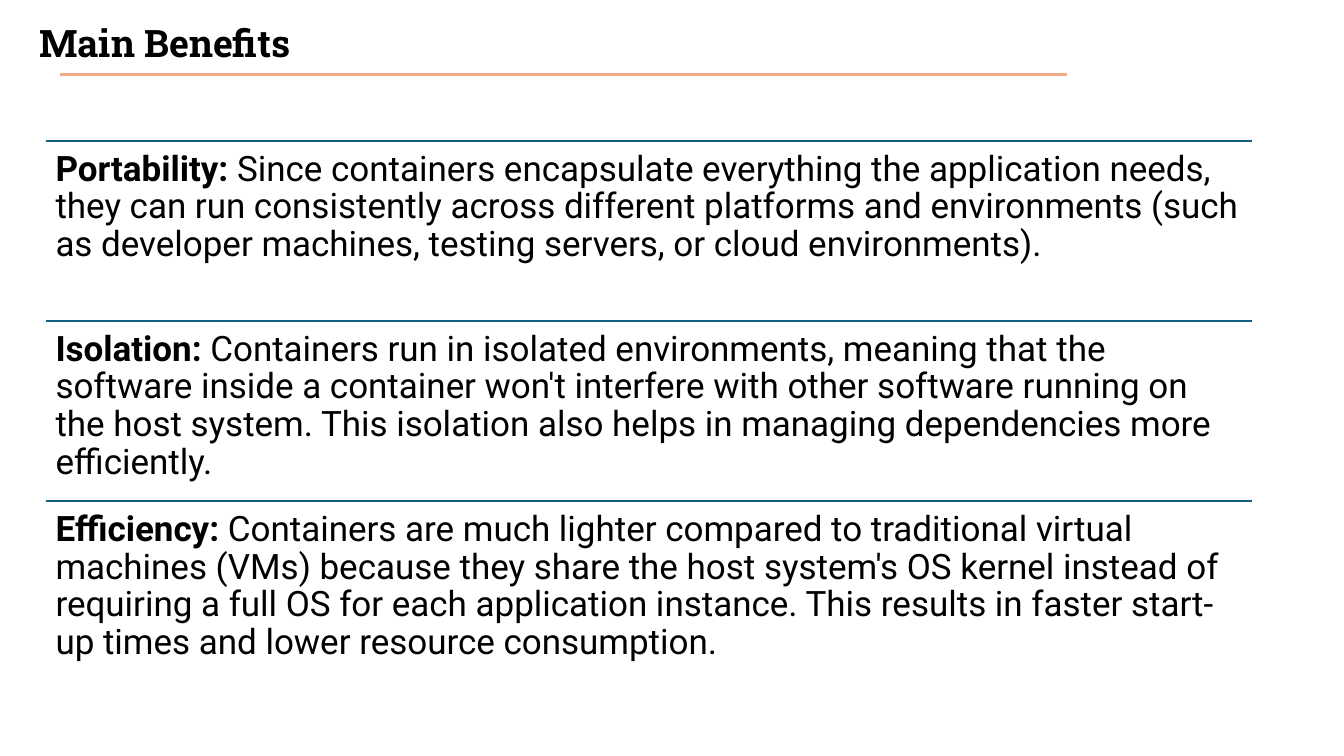
from dataclasses import dataclass

from lxml.etree import SubElement
from pptx import Presentation
from pptx.dml.color import RGBColor
from pptx.enum.shapes import MSO_CONNECTOR
from pptx.enum.text import MSO_ANCHOR
from pptx.oxml.ns import qn
from pptx.util import Cm, Pt


@dataclass(frozen=True)
class Theme:
    """Colours, fonts and type sizes of the deck."""

    ink: RGBColor = RGBColor(0x00, 0x00, 0x00)
    accent: RGBColor = RGBColor(0xF2, 0xAA, 0x84)
    divider: RGBColor = RGBColor(0x15, 0x60, 0x82)
    title_font: str = "Roboto Slab"
    body_font: str = "Roboto"
    title_size: int = 27
    body_size: int = 25
    line_spacing: float = 0.9


class SlideWriter:
    """Draws styled elements on the current slide."""

    def __init__(self, page, theme):
        """Keep the page and its theme."""
        self.page = page
        self.theme = theme

    def rule(self, left, top, width, color, weight):
        """Draw a horizontal line."""
        line = self.page.shapes.add_connector(
            MSO_CONNECTOR.STRAIGHT, Cm(left), Cm(top), Cm(left + width), Cm(top)
        )
        line.line.color.rgb = color
        line.line.width = Pt(weight)
        SubElement(line._element.spPr, qn("a:effectLst"))

    def text(self, left, top, width, height, runs, font, size, anchor, inset):
        """Write one paragraph made of (words, bold) runs."""
        box = self.page.shapes.add_textbox(Cm(left), Cm(top), Cm(width), Cm(height))
        frame = box.text_frame
        frame.word_wrap = True
        frame.vertical_anchor = anchor
        frame.margin_left = frame.margin_right = Cm(0.25)
        frame.margin_top = frame.margin_bottom = Cm(inset)
        para = frame.paragraphs[0]
        para.line_spacing = self.theme.line_spacing
        for words, bold in runs:
            span = para.add_run()
            span.text = words
            span.font.name = font
            span.font.size = Pt(size)
            span.font.bold = bold
            span.font.color.rgb = self.theme.ink

    def title(self, words):
        """Write the slide title above its accent line."""
        theme = self.theme
        self.rule(1.5, 1.88, 25.4, theme.accent, 2.25)
        self.text(0.74, -0.71, 29.21, 3.68, [(words, True)],
                  theme.title_font, theme.title_size, MSO_ANCHOR.MIDDLE, 0.13)

    def benefit(self, top, height, name, detail):
        """Write one benefit under a divider."""
        theme = self.theme
        left, width = 1.15, 30.39
        self.rule(left, top, width, theme.divider, 1.5)
        self.text(left, top, width, height, [(name, True), (" " + detail, False)],
                  theme.body_font, theme.body_size, MSO_ANCHOR.TOP, 0.25)


BENEFITS = [
    ("Portability:",
     "Since containers encapsulate everything the application needs, they can run "
     "consistently across different platforms and environments (such as developer "
     "machines, testing servers, or cloud environments)."),
    ("Isolation:",
     "Containers run in isolated environments, meaning that the software inside a "
     "container won't interfere with other software running on the host system. This "
     "isolation also helps in managing dependencies more efficiently."),
    ("Efficiency:",
     "Containers are much lighter compared to traditional virtual machines (VMs) "
     "because they share the host system's OS kernel instead of requiring a full OS "
     "for each application instance. This results in faster start-up times and lower "
     "resource consumption."),
]


def main():
    """Build the benefits slide and save the deck."""
    deck = Presentation()
    deck.slide_width, deck.slide_height = Cm(33.87), Cm(19.05)
    page = deck.slides.add_slide(deck.slide_layouts[6])
    writer = SlideWriter(page, Theme())
    writer.title("Main Benefits")
    first_top, row_height = 3.55, 4.54
    for index, (name, detail) in enumerate(BENEFITS):
        writer.benefit(first_top + index * row_height, row_height, name, detail)
    deck.save("out.pptx")


if __name__ == "__main__":
    main()
